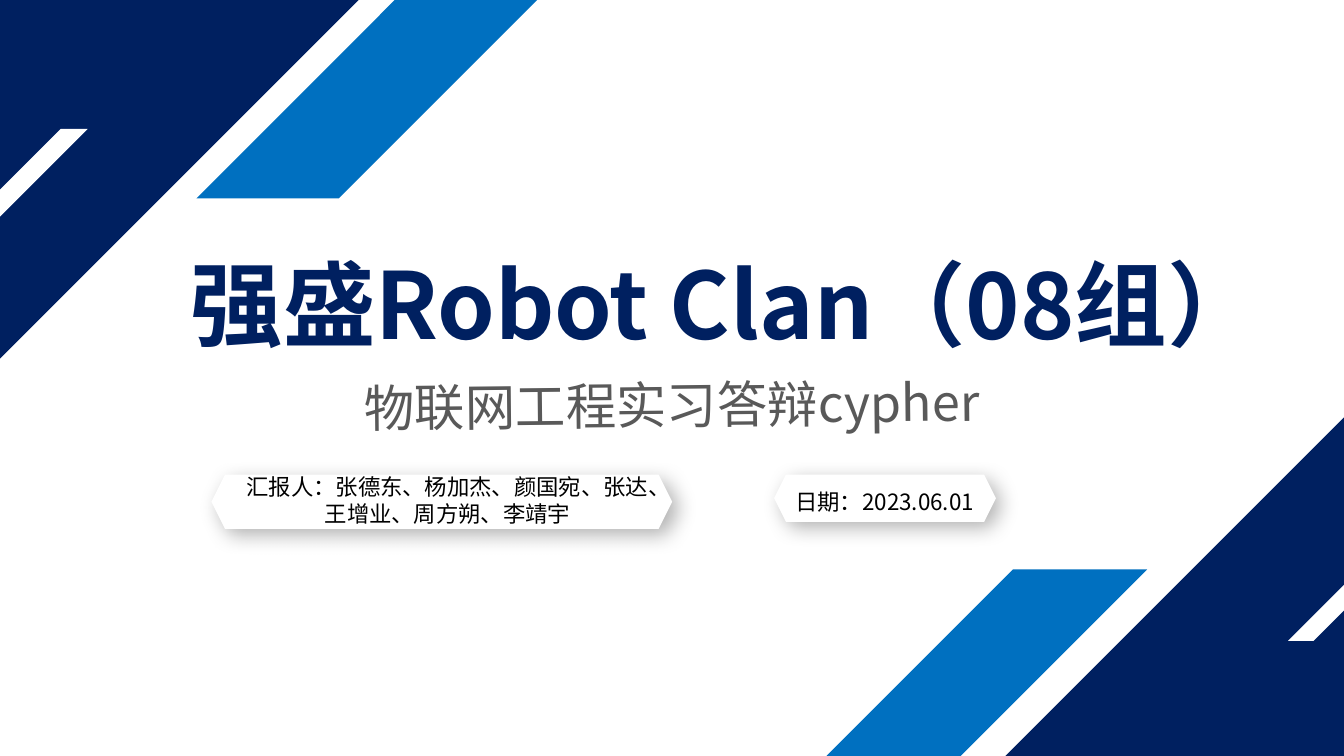
from lxml.etree import SubElement
from pptx import Presentation
from pptx.dml.color import RGBColor
from pptx.enum.shapes import MSO_SHAPE
from pptx.enum.text import MSO_ANCHOR, PP_ALIGN
from pptx.oxml.ns import qn
from pptx.util import Cm, Pt

# Content: positions are left, top, width, height in centimetres
FONT = "Noto Sans CJK SC"
COLORS = {"navy": "002060", "blue": "0070C0", "white": "FFFFFF",
          "gray": "595959", "black": "000000"}
SLIDE_WIDTH, SLIDE_HEIGHT = 33.87, 19.05

# Size of each corner triangle
TOP_CORNER, BOTTOM_CORNER = 9.04, 8.53
CORNERS = [
    ((0, 0, TOP_CORNER, TOP_CORNER), 90),
    ((SLIDE_WIDTH - BOTTOM_CORNER, SLIDE_HEIGHT - BOTTOM_CORNER,
      BOTTOM_CORNER, BOTTOM_CORNER), 270),
]
STRIPES = [
    ((4.95, 0, 8.59, 5.0), "blue"),
    ((-6.78, 3.25, 8.99, 8.31), "white"),
    ((32.46, 8.33, 8.46, 7.82), "white"),
    ((20.83, 14.35, 8.08, 4.7), "blue"),
]
# Text, box, size, colour, bold, line height in ems, rotation
HEADINGS = [
    ("强盛Robot Clan（08组）", (3.35, 5.87, 29.85, 3.07), 66, "navy", True, 1.3, 0),
    ("物联网工程实习答辩cypher", (8.59, 9.17, 16.69, 2.29), 36, "gray", False, 1.3, 359.4),
]
# Text, plate, text box
LABELS = [
    ("汇报人：张德东、杨加杰、颜国宛、张达、王增业、周方朔、李靖宇",
     (5.33, 11.96, 11.61, 1.37), (5.92, 12.24, 10.72, 0.74)),
    ("日期：2023.06.01",
     (19.51, 11.96, 5.59, 1.19), (19.3, 11.96, 5.99, 1.35)),
]

presentation = Presentation()
presentation.slide_width = Cm(SLIDE_WIDTH)
presentation.slide_height = Cm(SLIDE_HEIGHT)
slide = presentation.slides.add_slide(presentation.slide_layouts[6])


def add_plain_shape(preset, box, color):
    shape = slide.shapes.add_shape(preset, *map(Cm, box))
    shape.shadow.inherit = False
    shape.fill.solid()
    shape.fill.fore_color.rgb = RGBColor.from_string(COLORS[color])
    shape.line.fill.background()
    return shape


def add_soft_shadow(shape):
    effects = shape._element.spPr.find(qn("a:effectLst"))
    shadow = SubElement(effects, qn("a:outerShdw"), blurRad=str(Pt(15)),
                        dist=str(Pt(6)), dir=str(45 * 60000), algn="tl",
                        rotWithShape="0")
    color = SubElement(shadow, qn("a:srgbClr"), val=COLORS["black"])
    SubElement(color, qn("a:alpha"), val="30000")


def add_text(text, box, size, color, bold=False, line_height=1.2,
             rotation=0, anchor=MSO_ANCHOR.TOP):
    text_box = slide.shapes.add_textbox(*map(Cm, box))
    text_box.rotation = rotation
    text_frame = text_box.text_frame
    text_frame.word_wrap = True
    text_frame.vertical_anchor = anchor
    text_frame.text = text
    paragraph = text_frame.paragraphs[0]
    paragraph.alignment = PP_ALIGN.CENTER
    paragraph.line_spacing = Pt(size * line_height)
    font = paragraph.runs[0].font
    font.name, font.size, font.bold = FONT, Pt(size), bold
    font.color.rgb = RGBColor.from_string(COLORS[color])
    SubElement(font._element, qn("a:ea"), typeface=FONT)


# Corner triangles and diagonal stripes
for box, rotation in CORNERS:
    add_plain_shape(MSO_SHAPE.RIGHT_TRIANGLE, box, "navy").rotation = rotation
for box, color in STRIPES:
    add_plain_shape(MSO_SHAPE.PARALLELOGRAM, box, color).adjustments[0] = 1.0

# Title and subtitle
for heading in HEADINGS:
    add_text(*heading)

# Presenter and date plates
for text, plate, box in LABELS:
    add_soft_shadow(add_plain_shape(MSO_SHAPE.HEXAGON, plate, "white"))
    add_text(text, box, 16, "black", anchor=MSO_ANCHOR.MIDDLE)

presentation.save("out.pptx")
